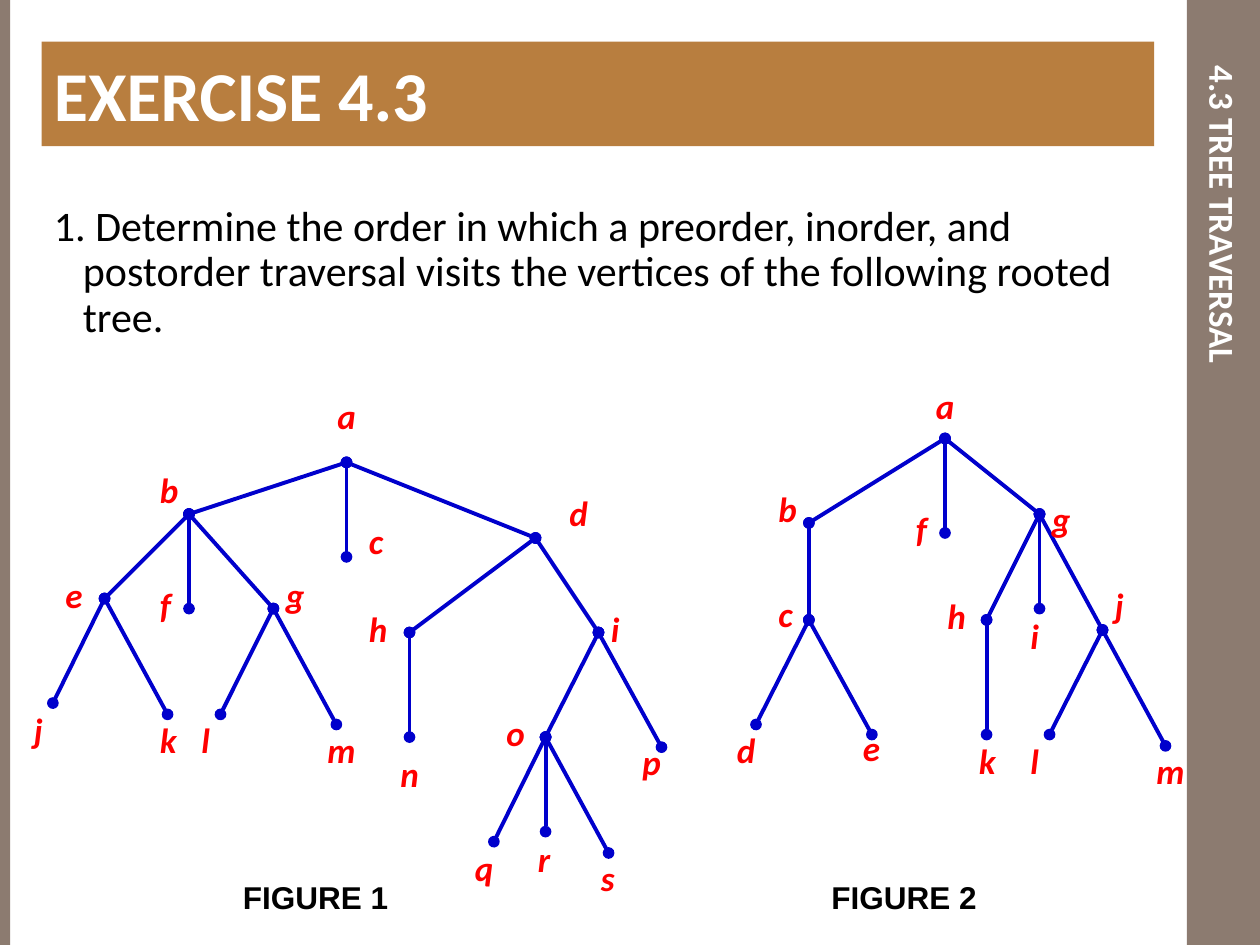
"""Build the tree traversal exercise slide with two rooted trees."""
from dataclasses import dataclass

from lxml import etree
from pptx import Presentation
from pptx.dml.color import RGBColor
from pptx.enum.shapes import MSO_CONNECTOR, MSO_SHAPE
from pptx.enum.text import MSO_ANCHOR, PP_ALIGN
from pptx.oxml.ns import qn
from pptx.util import Inches, Pt

STRAIGHT = MSO_CONNECTOR.STRAIGHT
RECTANGLE = MSO_SHAPE.RECTANGLE
MIDDLE = MSO_ANCHOR.MIDDLE
LEFT = PP_ALIGN.LEFT
CENTER = PP_ALIGN.CENTER


@dataclass(frozen=True)
class Theme:
    taupe: RGBColor = RGBColor(0x8C, 0x7B, 0x70)
    bronze: RGBColor = RGBColor(0xB8, 0x7E, 0x3F)
    white: RGBColor = RGBColor(0xFF, 0xFF, 0xFF)
    black: RGBColor = RGBColor(0, 0, 0)
    edge: RGBColor = RGBColor(0, 0, 0xCC)
    label: RGBColor = RGBColor(0xFF, 0, 0)
    font: str = "Calibri"
    caption_font: str = "Arial"
    heading_size: int = 40
    body_size: int = 24
    label_size: int = 20
    caption_size: int = 18
    edge_width: float = 2.25


THEME = Theme()


def add_bar(left, top, width, height, color):
    bar = page.shapes.add_shape(
        RECTANGLE, Inches(left), Inches(top), Inches(width), Inches(height))
    bar.shadow.inherit = False
    bar.fill.solid()
    bar.fill.fore_color.rgb = color
    bar.line.fill.background()
    return bar


def write(box, text, size, color, bold=True, italic=False, font=THEME.font, align=LEFT):
    box.text_frame.word_wrap = True
    para = box.text_frame.paragraphs[0]
    para.alignment = align
    span = para.add_run()
    span.text = text
    span.font.name = font
    span.font.size = Pt(size)
    span.font.color.rgb = color
    span.font.bold = bold
    span.font.italic = italic
    return para


deck = Presentation()
deck.slide_width = Inches(10)
deck.slide_height = Inches(7.5)
page = deck.slides.add_slide(deck.slide_layouts[5])

sidebar = add_bar(9.42, 0, 0.58, 7.5, THEME.taupe)
add_bar(0, 0, 0.08, 7.5, THEME.taupe)

title = page.shapes.title
title.left, title.top = Inches(9.42), Inches(0.42)
title.width, title.height = Inches(0.58), Inches(6.42)
frame = title.text_frame
frame.margin_left = frame.margin_right = Inches(0.05)
frame.margin_top = frame.margin_bottom = Inches(0.1)
frame.vertical_anchor = MIDDLE
write(title, "4.3 TREE TRAVERSAL", THEME.label_size, THEME.white, align=CENTER)
frame._txBody.bodyPr.set("vert", "eaVert")
sidebar.element.addnext(title.element)

body = page.shapes.add_textbox(Inches(0.33), Inches(1.58), Inches(8.83), Inches(1.25))
para = write(
    body,
    " Determine the order in which a preorder, inorder, and postorder traversal "
    "visits the vertices of the following rooted tree.",
    THEME.body_size, THEME.black, bold=False)
para.line_spacing = 0.9
properties = para._p.get_or_add_pPr()
properties.set("marL", str(Inches(0.23)))
properties.set("indent", str(Inches(-0.23)))
etree.SubElement(properties, qn("a:buFont"), typeface=THEME.font)
etree.SubElement(properties, qn("a:buAutoNum"), type="arabicPeriod")

heading = add_bar(0.33, 0.33, 8.83, 0.83, THEME.bronze)
heading.text_frame.vertical_anchor = MIDDLE
write(heading, "EXERCISE 4.3", THEME.heading_size, THEME.white)

# Each vertex: parent, vertex x, vertex y, label left, label top
FIGURE_1 = {
    "a": (None, 2.75, 3.67, 2.58, 3.08),
    "b": ("a", 1.5, 4.08, 1.17, 3.67),
    "c": ("a", 2.75, 4.42, 2.83, 4.07),
    "d": ("a", 4.25, 4.27, 4.42, 3.85),
    "e": ("b", 0.83, 4.75, 0.42, 4.5),
    "f": ("b", 1.5, 4.83, 1.17, 4.58),
    "g": ("b", 2.17, 4.83, 2.17, 4.5),
    "h": ("d", 3.25, 5.02, 2.83, 4.77),
    "i": ("d", 4.75, 5.02, 4.75, 4.77),
    "j": ("e", 0.42, 5.58, 0.17, 5.57),
    "k": ("e", 1.33, 5.67, 1.17, 5.65),
    "l": ("g", 1.75, 5.67, 1.5, 5.65),
    "m": ("g", 2.67, 5.75, 2.5, 5.73),
    "n": ("h", 3.25, 5.85, 3.08, 5.92),
    "o": ("i", 4.33, 5.85, 3.92, 5.6),
    "p": ("i", 5.25, 5.93, 5, 5.83),
    "q": ("o", 3.92, 6.68, 3.67, 6.67),
    "r": ("o", 4.33, 6.6, 4.17, 6.6),
    "s": ("o", 4.83, 6.77, 4.67, 6.75),
}
FIGURE_2 = {
    "a": (None, 7.5, 3.48, 7.33, 3),
    "b": ("a", 6.42, 4.15, 6.08, 3.82),
    "c": ("b", 6.42, 4.92, 6.08, 4.65),
    "d": ("c", 6, 5.75, 5.75, 5.73),
    "e": ("c", 6.92, 5.83, 6.75, 5.72),
    "f": ("a", 7.5, 4.23, 7.17, 3.98),
    "g": ("a", 8.25, 4.08, 8.25, 3.9),
    "h": ("g", 7.83, 4.92, 7.42, 4.67),
    "i": ("g", 8.25, 4.83, 8.08, 4.83),
    "j": ("g", 8.75, 5, 8.75, 4.58),
    "k": ("h", 7.83, 5.83, 7.67, 5.82),
    "l": ("j", 8.33, 5.83, 8.08, 5.82),
    "m": ("j", 9.25, 5.92, 9.08, 5.9),
}

for caption, caption_left, tree in (("FIGURE 1", 1.83, FIGURE_1), ("FIGURE 2", 6.5, FIGURE_2)):
    for parent, x, y, _, _ in tree.values():
        if parent is None:
            continue
        parent_x, parent_y = tree[parent][1:3]
        edge = page.shapes.add_connector(
            STRAIGHT, Inches(x), Inches(y), Inches(parent_x), Inches(parent_y))
        edge.line.color.rgb = THEME.edge
        edge.line.width = Pt(THEME.edge_width)
        outline = edge.line._get_or_add_ln()
        for end in ("a:headEnd", "a:tailEnd"):
            etree.SubElement(outline, qn(end), type="oval")
        etree.SubElement(edge.element.spPr, qn("a:effectLst"))
    for name, (_, _, _, left, top) in tree.items():
        label = page.shapes.add_textbox(Inches(left), Inches(top), Inches(0.33), Inches(0.44))
        write(label, name, THEME.label_size, THEME.label, italic=True)
    box = page.shapes.add_textbox(Inches(caption_left), Inches(6.92), Inches(1.75), Inches(0.4))
    write(box, caption, THEME.caption_size, THEME.black, font=THEME.caption_font)

deck.save("out.pptx")
